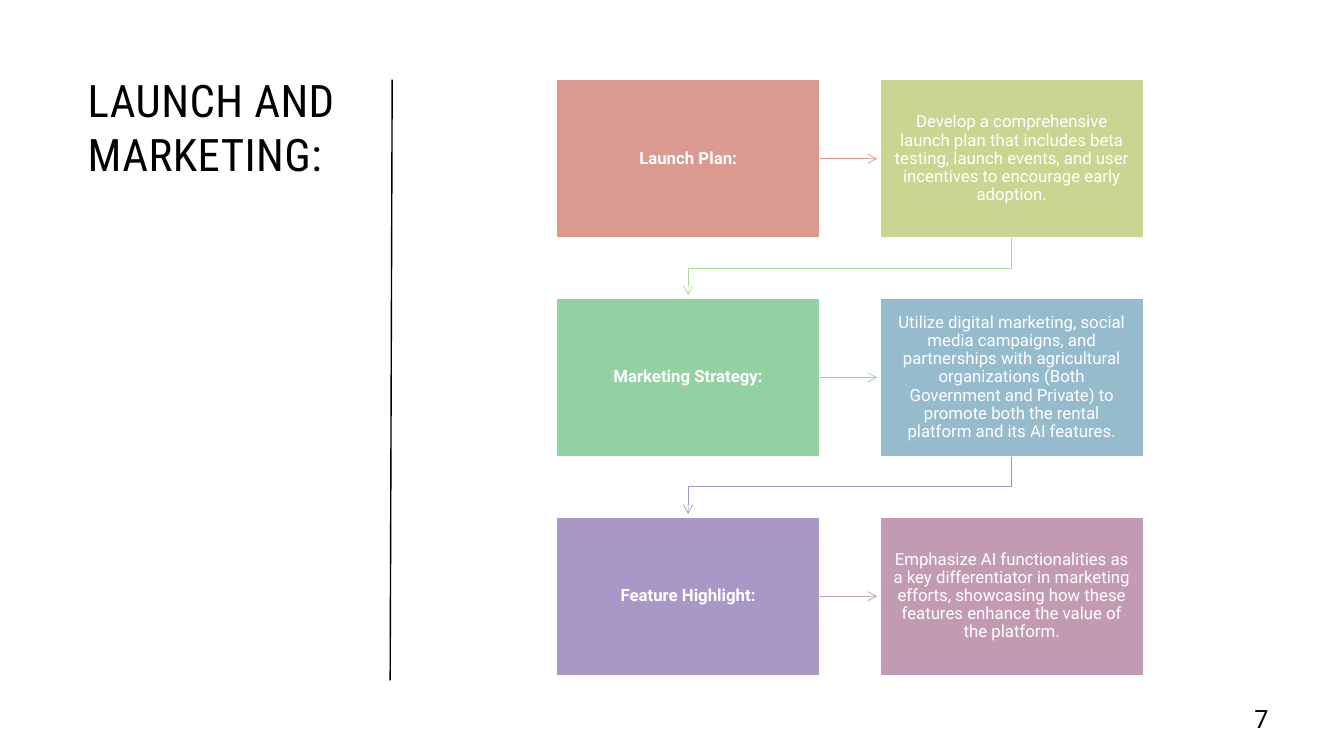
"""Build the launch and marketing slide: three steps, each leading to its explanation."""
from pptx import Presentation
from pptx import util as u
from pptx.dml.color import RGBColor
from pptx.enum import shapes, text
from pptx.oxml.ns import qn
from lxml import etree

TITLE = "LAUNCH AND MARKETING:"
PAGE = "7"
STEPS = [
    ("Launch Plan:",
     "Develop a comprehensive launch plan that includes beta testing, launch events, "
     "and user incentives to encourage early adoption."),
    ("Marketing Strategy:",
     "Utilize digital marketing, social media campaigns, and partnerships with agricultural "
     "organizations (Both Government and Private) to promote both the rental platform "
     "and its AI features."),
    ("Feature Highlight:",
     "Emphasize AI functionalities as a key differentiator in marketing efforts, "
     "showcasing how these features enhance the value of the platform."),
]
COLORS = {"ink": "000000", "paper": "FFFFFF"}
BOX_FILLS = [("DB9A8F", "C8D691"), ("93D1A3", "95BBCC"), ("A997C7", "C29AB1")]
ACROSS_COLORS = ["DB9A8F", "94CFC2", "C29AB1"]
DOWN_COLORS = ["B6D591", "9C97C9"]

GRID_LEFT, GRID_TOP = 5.52, 0.79
BOX_WIDTH, BOX_HEIGHT = 2.61, 1.57
COLUMN_STEP, ROW_STEP = 3.21, 2.17
ARROW_LENGTH, BEND = 0.57, 0.3


def color(value):
    return RGBColor.from_string(value)


def style_line(shape, value, width, arrow=False):
    shape.line.color.rgb = color(value)
    shape.line.width = u.Pt(width)
    if arrow:
        line = shape.line._get_or_add_ln()
        etree.SubElement(line, qn("a:tailEnd"), type="arrow", w="med", len="med")


def add_straight(slide, begin, end, value, width, arrow=False):
    connector = slide.shapes.add_connector(
        shapes.MSO_CONNECTOR.STRAIGHT, *(u.Inches(n) for n in (*begin, *end)))
    style_line(connector, value, width, arrow)
    etree.SubElement(connector._element.spPr, qn("a:effectLst"))
    return connector


def add_bent_arrow(slide, points, value):
    corners = [(u.Inches(x), u.Inches(y)) for x, y in points]
    builder = slide.shapes.build_freeform(*corners[0])
    builder.add_line_segments(corners[1:], close=False)
    arrow = builder.convert_to_shape()
    arrow.shadow.inherit = False
    arrow.fill.background()
    style_line(arrow, value, 0.5, arrow=True)


def write(shape, words, size, value, align, bold=False, font="Roboto", spacing=0.9):
    frame = shape.text_frame
    frame.text = words
    frame.word_wrap = True
    frame.auto_size = text.MSO_AUTO_SIZE.NONE
    frame.vertical_anchor = text.MSO_ANCHOR.MIDDLE
    paragraph = frame.paragraphs[0]
    paragraph.alignment = align
    paragraph.line_spacing = spacing
    paragraph.font.name = font
    paragraph.font.size = u.Pt(size)
    paragraph.font.bold = bold
    paragraph.font.color.rgb = color(value)
    return frame


def add_box(slide, left, top, words, fill, bold):
    box = slide.shapes.add_shape(
        shapes.MSO_SHAPE.RECTANGLE,
        *(u.Inches(n) for n in (left, top, BOX_WIDTH, BOX_HEIGHT)))
    box.shadow.inherit = False
    box.fill.solid()
    box.fill.fore_color.rgb = color(fill)
    style_line(box, COLORS["paper"], 1)
    frame = write(box, words, 12, COLORS["paper"], text.PP_ALIGN.CENTER, bold)
    frame.margin_left = frame.margin_right = u.Inches(0.13)
    frame.margin_top = frame.margin_bottom = u.Inches(0.13)
    return box


def add_title(slide):
    title = slide.shapes.title
    title.left, title.top, title.width, title.height = (
        u.Inches(n) for n in (0.77, 0.67, 2.76, 4.91))
    frame = write(title, TITLE, 32, COLORS["ink"], text.PP_ALIGN.LEFT,
                  font="Roboto Condensed", spacing=1.0)
    frame.vertical_anchor = text.MSO_ANCHOR.TOP
    frame.paragraphs[0].runs[0]._r.get_or_add_rPr().set("spc", "30")


def add_steps(slide):
    for row, (words, fills) in enumerate(zip(STEPS, BOX_FILLS)):
        top = GRID_TOP + row * ROW_STEP
        middle, bottom = top + BOX_HEIGHT / 2, top + BOX_HEIGHT
        label, _ = [
            add_box(slide, GRID_LEFT + column * COLUMN_STEP, top,
                    words[column], fills[column], bold=column == 0)
            for column in range(2)]
        right = GRID_LEFT + BOX_WIDTH
        across = add_straight(slide, (right, middle), (right + ARROW_LENGTH, middle),
                              ACROSS_COLORS[row], 0.5, arrow=True)
        across.begin_connect(label, 3)
        if row < len(DOWN_COLORS):
            target = GRID_LEFT + BOX_WIDTH / 2
            source = target + COLUMN_STEP
            add_bent_arrow(slide, [(source, bottom), (source, bottom + BEND),
                                   (target, bottom + BEND), (target, bottom + ARROW_LENGTH)],
                           DOWN_COLORS[row])


def main():
    presentation = Presentation()
    presentation.slide_width, presentation.slide_height = u.Inches(13.33), u.Inches(7.5)
    slide = presentation.slides.add_slide(presentation.slide_layouts[5])
    add_title(slide)
    add_straight(slide, (3.87, 6.75), (3.89, 0.79), COLORS["ink"], 1)
    add_steps(slide)
    number = slide.shapes.add_textbox(*(u.Inches(n) for n in (11.94, 6.95, 0.74, 0.4)))
    write(number, PAGE, 18, COLORS["ink"], text.PP_ALIGN.RIGHT)
    presentation.save("out.pptx")


if __name__ == "__main__":
    main()
